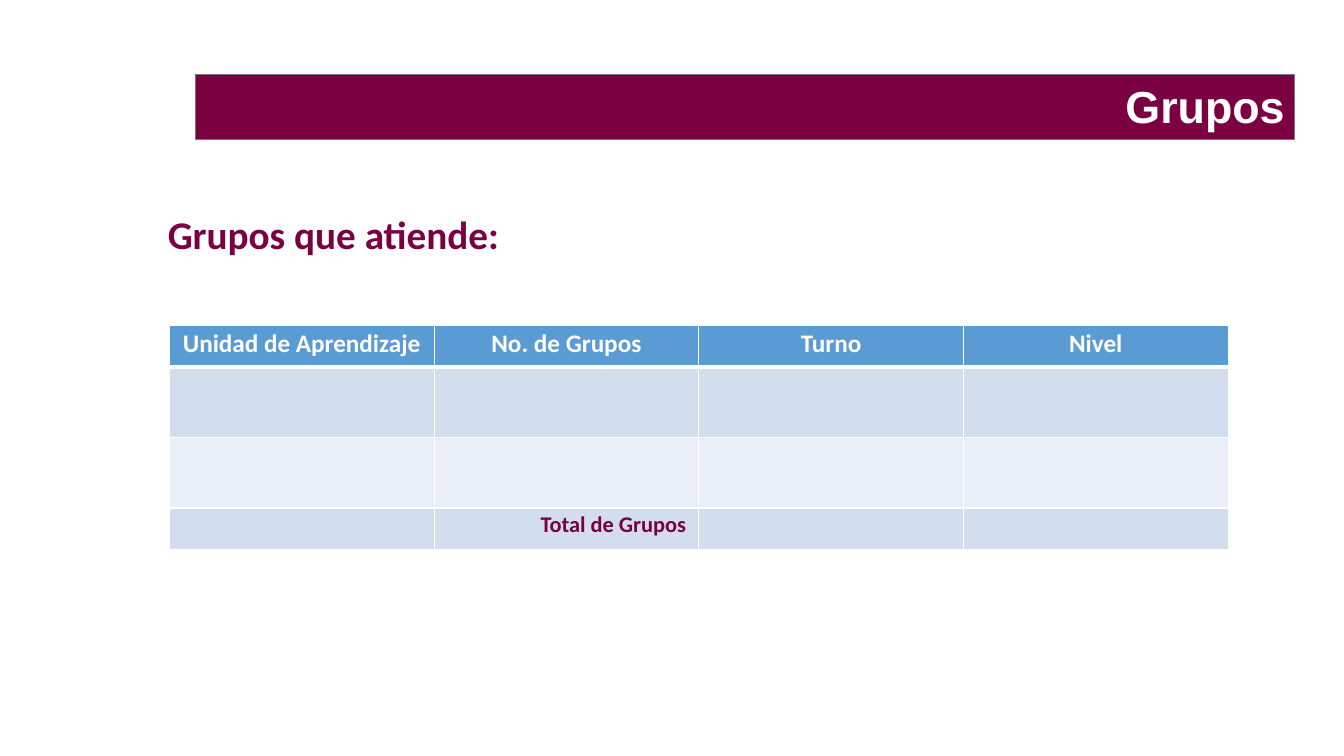
from lxml.etree import fromstring
from pptx import Presentation
from pptx.dml.color import RGBColor
from pptx.enum.text import MSO_ANCHOR, MSO_AUTO_SIZE, PP_ALIGN
from pptx.oxml.ns import nsdecls
from pptx.util import Cm, Pt

MAROON = RGBColor(0x7B, 0x00, 0x41)
GRAY = RGBColor(0x78, 0x78, 0x78)
WHITE = RGBColor(0xFF, 0xFF, 0xFF)
HEADER_BLUE = RGBColor(0x5B, 0x9B, 0xD4)
BAND_DARK = RGBColor(0xD2, 0xDE, 0xEE)
BAND_LIGHT = RGBColor(0xEA, 0xEE, 0xF7)


def style_paragraph(paragraph, font_name, size, color, align, before):
    paragraph.alignment = align
    paragraph.space_before = Pt(before)
    font = paragraph.font
    font.name, font.size, font.bold = font_name, Pt(size), True
    font.color.rgb = color


def set_borders(cell, top, bottom):
    """Draw white cell borders: 1 pt at the sides, given points above and below."""
    widths = {"lnL": 1, "lnR": 1, "lnT": top, "lnB": bottom}
    properties = cell._tc.get_or_add_tcPr()
    for position, (side, points) in enumerate(widths.items()):
        properties.insert(position, fromstring(
            f'<a:{side} {nsdecls("a")} w="{Pt(points)}"><a:solidFill>'
            f'<a:srgbClr val="{WHITE}"/></a:solidFill></a:{side}>'))


presentation = Presentation()
presentation.slide_width, presentation.slide_height = Cm(33.87), Cm(19.05)
slide = presentation.slides.add_slide(presentation.slide_layouts[5])

title = slide.shapes.title
title.left, title.top, title.width, title.height = Cm(4.92), Cm(1.88), Cm(27.7), Cm(1.64)
title.fill.solid()
title.fill.fore_color.rgb = MAROON
title.line.color.rgb = GRAY
title.line.width = Pt(0.96)
title_frame = title.text_frame
title_frame.text = "Grupos"
title_frame.auto_size = MSO_AUTO_SIZE.NONE
title_frame.vertical_anchor = MSO_ANCHOR.TOP
title_frame.margin_left = title_frame.margin_bottom = 0
title_frame.margin_top, title_frame.margin_right = Cm(0.1), Cm(0.24)
style_paragraph(title_frame.paragraphs[0], "Arial", 32, WHITE, PP_ALIGN.RIGHT, 2.6)

subtitle = slide.shapes.add_textbox(Cm(4.23), Cm(5.26), Cm(9), Cm(1.24)).text_frame
subtitle.text = "Grupos que atiende:"
subtitle.word_wrap = True
subtitle.margin_left = subtitle.margin_right = subtitle.margin_bottom = 0
subtitle.margin_top = Cm(0.03)
style_paragraph(subtitle.paragraphs[0], "Calibri", 28, MAROON, PP_ALIGN.LEFT, 0.9)

headings = ["Unidad de Aprendizaje", "No. de Grupos", "Turno", "Nivel"]
rows = [headings, [""] * 4, [""] * 4, ["", "Total de Grupos", "", ""]]
row_heights = [1.04, 1.78, 1.78, 1.04]
row_fills = [HEADER_BLUE, BAND_DARK, BAND_LIGHT, BAND_DARK]

groups = slide.shapes.add_table(
    len(rows), len(headings), Cm(4.27), Cm(8.2), Cm(26.68), Cm(sum(row_heights))).table
for column in groups.columns:
    column.width = Cm(6.67)

for r, texts in enumerate(rows):
    groups.rows[r].height = Cm(row_heights[r])
    for c, text in enumerate(texts):
        cell = groups.cell(r, c)
        cell.text = text
        cell.margin_left = cell.margin_right = cell.margin_bottom = 0
        cell.margin_top = Cm(0.08)
        cell.fill.solid()
        cell.fill.fore_color.rgb = row_fills[r]
        set_borders(cell, top=3 if r == 1 else 1, bottom=3 if r == 0 else 1)
        if r == 0:
            style_paragraph(cell.text_frame.paragraphs[0], "Calibri", 18, WHITE,
                            PP_ALIGN.CENTER, 2.5)
        elif text:
            cell.margin_right = Cm(0.32)
            style_paragraph(cell.text_frame.paragraphs[0], "Calibri", 16, MAROON,
                            PP_ALIGN.RIGHT, 2.7)

presentation.save("out.pptx")
